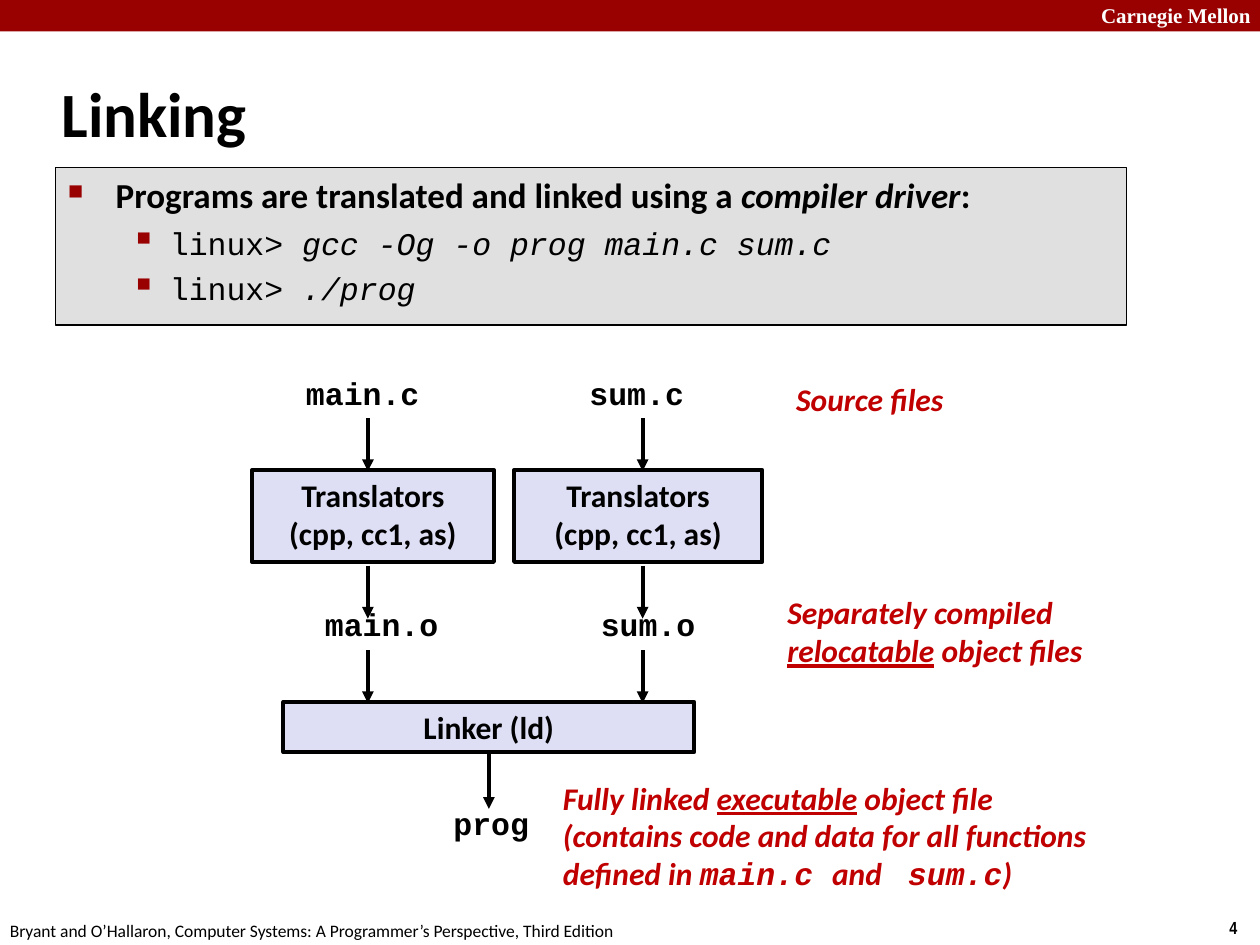
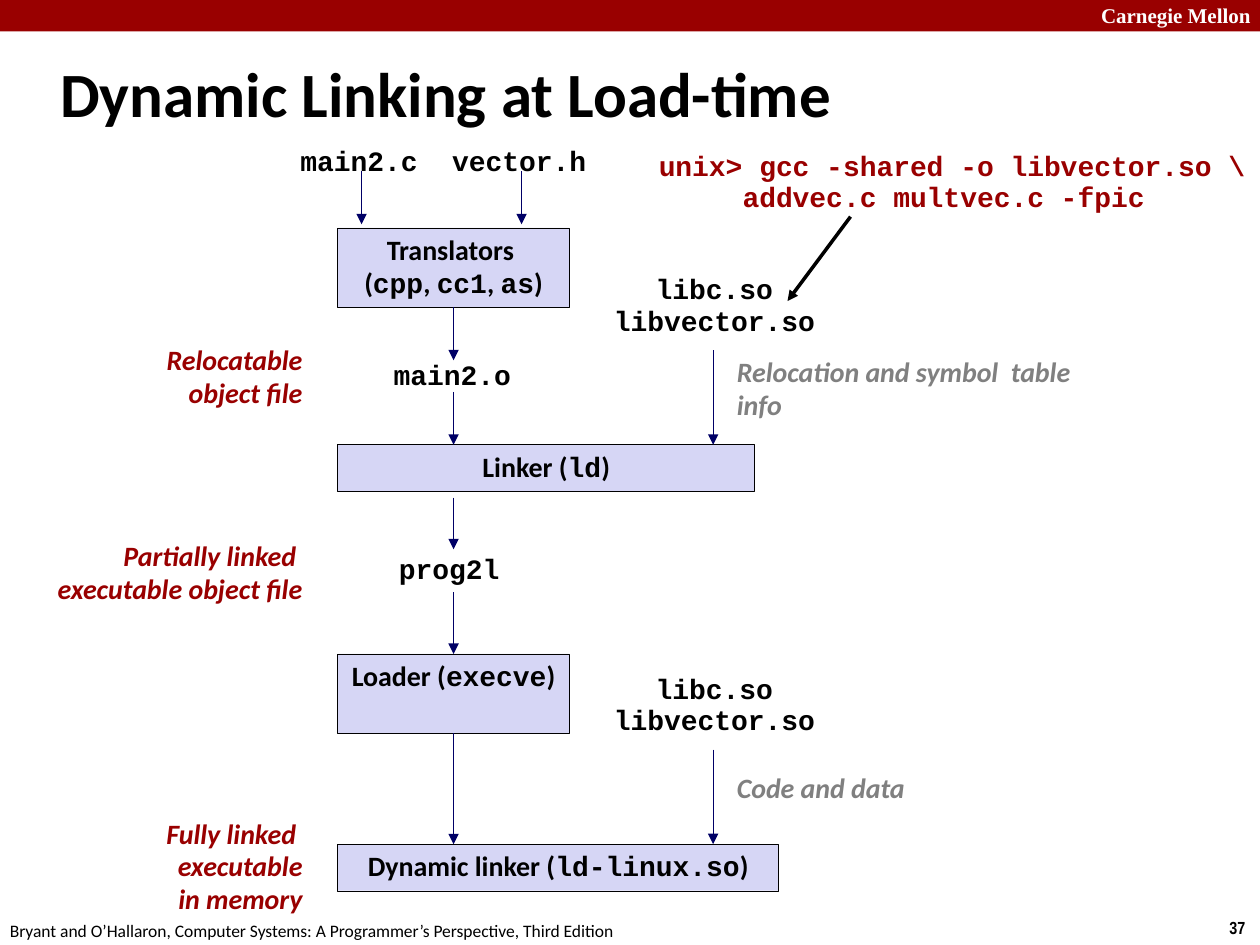
from dataclasses import dataclass

from lxml.etree import SubElement
from pptx import Presentation
from pptx.dml.color import RGBColor
from pptx.enum.shapes import MSO_CONNECTOR, MSO_SHAPE
from pptx.enum.text import MSO_ANCHOR, PP_ALIGN
from pptx.oxml.ns import qn
from pptx.slide import Slide
from pptx.util import Inches, Pt

BLACK = RGBColor(0x00, 0x00, 0x00)
WHITE = RGBColor(0xFF, 0xFF, 0xFF)
CRIMSON = RGBColor(0x99, 0x00, 0x00)
RED = RGBColor(0xC0, 0x00, 0x00)
GRAY = RGBColor(0x80, 0x80, 0x80)
PANEL_GRAY = RGBColor(0xE0, 0xE0, 0xE0)
LAVENDER = RGBColor(0xDE, 0xDF, 0xF5)
PERIWINKLE = RGBColor(0xD6, 0xD6, 0xF5)
NAVY = RGBColor(0x00, 0x00, 0x66)

SANS = "Calibri"
MONO = "Courier New"
FOOTER = "Bryant and O’Hallaron, Computer Systems: A Programmer’s Perspective, Third Edition"


def code(text):
    return text, {"name": MONO}


def italic(text):
    return text, {"italic": True}


def underlined(text):
    return text, {"underline": True}


def set_font(font, name=None, size=None, color=None, bold=None, italic=None, underline=None):
    if name:
        font.name = name
    if size:
        font.size = Pt(size)
    if color is not None:
        font.color.rgb = color
    if bold is not None:
        font.bold = bold
    if italic is not None:
        font.italic = italic
    if underline is not None:
        font.underline = underline


def add_runs(paragraph, line):
    for part in [line] if isinstance(line, str) else line:
        text, style = (part, {}) if isinstance(part, str) else part
        run = paragraph.add_run()
        run.text = text
        set_font(run.font, **style)


def set_indent(paragraph, margin, hanging):
    properties = paragraph._p.get_or_add_pPr()
    properties.set("marL", str(Inches(margin)))
    properties.set("indent", str(-Inches(hanging)))
    return properties


def add_bullet(paragraph, character, percent, margin, hanging):
    properties = set_indent(paragraph, margin, hanging)
    color = SubElement(properties, qn("a:buClr"))
    SubElement(color, qn("a:srgbClr"), val=str(CRIMSON))
    SubElement(properties, qn("a:buSzPct"), val=str(percent * 1000))
    SubElement(properties, qn("a:buChar"), char=character)


def write_lines(frame, lines, align=PP_ALIGN.LEFT, spacing=None, name=SANS, size=18,
                color=BLACK, bold=True, italic=None):
    for index, line in enumerate(lines):
        paragraph = frame.add_paragraph() if index else frame.paragraphs[0]
        paragraph.alignment = align
        if spacing:
            paragraph.line_spacing = spacing
        set_font(paragraph.font, name, size, color, bold, italic)
        add_runs(paragraph, line)


@dataclass
class Region:
    slide: Slide
    left: float = 0
    top: float = 0

    def place(self, x, y):
        return Inches(self.left + x), Inches(self.top + y)

    def label(self, x, y, width, height, lines, wrap=False, **style):
        shape = self.slide.shapes.add_textbox(*self.place(x, y), Inches(width), Inches(height))
        shape.text_frame.word_wrap = wrap
        write_lines(shape.text_frame, lines, **style)
        return shape

    def box(self, x, y, width, height, fill, line_width, lines=(), **style):
        shape = self.slide.shapes.add_shape(
            MSO_SHAPE.RECTANGLE, *self.place(x, y), Inches(width), Inches(height))
        shape.shadow.inherit = False
        shape.fill.solid()
        shape.fill.fore_color.rgb = fill
        if line_width:
            shape.line.color.rgb = BLACK
            shape.line.width = Pt(line_width)
        else:
            shape.line.fill.background()
        shape.text_frame.word_wrap = True
        shape.text_frame.vertical_anchor = MSO_ANCHOR.TOP
        write_lines(shape.text_frame, lines, align=PP_ALIGN.CENTER, **style)
        return shape

    def arrow(self, start, end, color, width, source=None, target=None):
        connector = self.slide.shapes.add_connector(
            MSO_CONNECTOR.STRAIGHT, *self.place(*start), *self.place(*end))
        if source is not None:
            connector.begin_connect(source, 2)
        if target is not None:
            connector.end_connect(target, 0)
        connector.line.color.rgb = color
        connector.line.width = Pt(width)
        SubElement(connector.line._get_or_add_ln(), qn("a:tailEnd"), type="triangle")
        SubElement(connector._element.spPr, qn("a:effectLst"))


def add_frame(presentation, number, title, left, top, width, height):
    slide = presentation.slides.add_slide(presentation.slide_layouts[6])
    page = Region(slide)
    page.box(0, 0, 10, 0.25, CRIMSON, 0)
    page.label(8.64, -0.03, 1.43, 0.3, ["Carnegie Mellon"], wrap=True,
               name="Times New Roman", size=12, color=WHITE)
    page.label(9.66, 7.23, 0.34, 0.27, [number], name="Arial Narrow", size=10)
    page.label(-0.02, 7.25, 5.08, 0.27, [FOOTER], size=10, bold=False)
    heading = page.label(left, top, width, height, [title], wrap=True, size=36)
    heading.text_frame.vertical_anchor = MSO_ANCHOR.MIDDLE
    set_indent(heading.text_frame.paragraphs[0], 0.13, 0.13)
    return slide


def add_command_panel(slide, left, top, width, height):
    panel = Region(slide, left, top).box(0, 0, width, height, PANEL_GRAY, 0.75)
    frame = panel.text_frame
    heading = frame.paragraphs[0]
    heading.alignment = PP_ALIGN.LEFT
    add_bullet(heading, "■", 60, 0.38, 0.38)
    set_font(heading.font, SANS, 20, BLACK, bold=True)
    add_runs(heading, ["Programs are translated and linked using a ",
                       italic("compiler driver"), ":"])
    for command in ("gcc -Og -o prog main.c sum.c", "./prog"):
        paragraph = frame.add_paragraph()
        paragraph.alignment = PP_ALIGN.LEFT
        paragraph.level = 1
        paragraph.space_before = Pt(4.5)
        add_bullet(paragraph, "▪", 110, 0.81, 0.31)
        set_font(paragraph.font, MONO, 18, BLACK, bold=False)
        add_runs(paragraph, ["linux> ", italic(command)])


def add_static_diagram(slide, left, top):
    diagram = Region(slide, left, top)
    columns = [
        ("main", 0.92, 1.11, 0.33, 0.48, 0, 1.92),
        ("sum", 3.1, 0.96, 2.58, 2.67, 2.08, 1.97),
    ]
    linker = diagram.box(0.25, 2.65, 3.26, 0.4, LAVENDER, 2.25, ["Linker (ld)"])
    for stem, arrow_x, label_width, source_x, object_x, box_x, box_width in columns:
        diagram.box(box_x, 0.81, box_width, 0.73, LAVENDER, 2.25,
                    ["Translators", "(cpp, cc1, as)"])
        diagram.label(source_x, 0, label_width, 0.4, [f"{stem}.c"], name=MONO)
        diagram.label(object_x, 1.83, label_width, 0.4, [f"{stem}.o"], name=MONO)
        for arrow_y in (0.4, 1.57, 2.24):
            diagram.arrow((arrow_x, arrow_y), (arrow_x, arrow_y + 0.42), BLACK, 2.25)
    diagram.label(1.5, 3.41, 0.81, 0.4, ["prog"], name=MONO)
    diagram.arrow((1.88, 3.05), (1.88, 3.5), BLACK, 2.25, source=linker)


def add_static_captions(slide, left, top):
    captions = Region(slide, left, top)
    style = {"color": RED, "italic": True}
    captions.label(1.85, 0, 1.44, 0.4, ["Source files"], **style)
    captions.label(1.78, 1.69, 2.63, 0.71,
                   ["Separately compiled", [underlined("relocatable"), " object files"]], **style)
    captions.label(0, 3.16, 4.46, 1.01, [
        ["Fully linked ", underlined("executable"), " object file"],
        "(contains code and data for all functions",
        ["defined in ", code("main.c "), "and ", code(" sum.c"), ")"],
    ], **style)


def add_load_pipeline(slide, left, top):
    pipeline = Region(slide, left, top)
    file_style = {"align": PP_ALIGN.CENTER, "spacing": 0.94, "name": MONO, "size": 16}
    spine = 1.32

    def stage(y, width, height, *lines):
        return pipeline.box(0.4, y, width, height, PERIWINKLE, 0.25, lines,
                            spacing=0.98, size=16)

    def flow(x, start, end, **joints):
        pipeline.arrow((x, start), (x, end), NAVY, 0.25, **joints)

    translators = stage(0.7, 1.84, 0.63, "Translators ",
                        ["(", code("cpp"), ", ", code("cc1"), ", ", code("as"), ")"])
    stage(2.42, 3.31, 0.37, ["Linker (", code("ld"), ")"])
    loader = stage(4.08, 1.84, 0.63, ["Loader (", code("execve"), ")"])
    stage(5.59, 3.5, 0.37, ["Dynamic linker (", code("ld-linux.so"), ")"])

    for x, y, width, name in [(0, 0, 1.14, "main2.c"), (1.2, 0, 1.28, "vector.h"),
                              (0.74, 1.7, 1.14, "main2.o"), (0.78, 3.24, 1.01, "prog2l")]:
        pipeline.label(x, y, width, 0.36, [name], **file_style)

    for x in (0.59, 1.86):
        flow(x, 0.25, 0.67)
    flow(spine, 1.33, 1.75, source=translators)
    flow(spine, 2.0, 2.42)
    flow(spine, 2.84, 3.25)
    flow(spine, 3.59, 4.08, target=loader)
    flow(spine, 4.71, 5.59, source=loader)


def add_shared_libraries(slide, left, top, note, note_y, note_width, note_height):
    libraries = Region(slide, left, top)
    libraries.label(0, 0, 1.82, 0.61, ["libc.so", "libvector.so"],
                    align=PP_ALIGN.CENTER, spacing=0.94, name=MONO, size=16)
    libraries.arrow((0.9, 0.65), (0.9, 1.4), NAVY, 0.25)
    libraries.label(0.99, note_y, note_width, note_height, [note], wrap=True,
                    spacing=0.98, size=16, color=GRAY, italic=True)


def add_stage_captions(slide, right, top):
    captions = Region(slide, right, top)
    for y, width, height, lines in [
        (0, 1.5, 0.63, ["Relocatable", "object file"]),
        (1.56, 2.75, 0.63, ["Partially linked ", "executable object file"]),
        (3.76, 1.92, 0.89, ["Fully linked ", "executable", "in memory"]),
    ]:
        captions.label(-width, y, width, height, lines, wrap=True, align=PP_ALIGN.RIGHT,
                       spacing=0.98, size=16, color=CRIMSON, italic=True)


def add_library_command(slide, left, top):
    command = Region(slide, left, top)
    command.label(0, 0, 4.92, 0.61,
                  ["unix> gcc -shared -o libvector.so \\", "     addvec.c multvec.c -fpic"],
                  spacing=0.94, name=MONO, size=16, color=CRIMSON)
    command.arrow((1.62, 0.57), (1.12, 1.24), BLACK, 2)


def add_linking_slide(presentation):
    slide = add_frame(presentation, "4", "Linking", 0.39, 0.48, 8.3, 0.83)
    add_command_panel(slide, 0.44, 1.33, 8.5, 1.25)
    add_static_diagram(slide, 2, 2.92)
    add_static_captions(slide, 4.37, 2.97)


def add_dynamic_linking_slide(presentation):
    slide = add_frame(presentation, "37", "Dynamic Linking at Load-time", 0.38, 0.31, 9.53, 0.85)
    add_load_pipeline(slide, 2.28, 1.11)
    add_shared_libraries(slide, 4.76, 2.13, "Relocation and symbol  table info", 0.65, 2.85, 0.63)
    add_shared_libraries(slide, 4.76, 5.3, "Code and data", 0.78, 1.94, 0.37)
    add_stage_captions(slide, 2.5, 2.68)
    add_library_command(slide, 5.13, 1.15)


def main():
    presentation = Presentation()
    presentation.slide_width = Inches(10)
    presentation.slide_height = Inches(7.5)
    add_linking_slide(presentation)
    add_dynamic_linking_slide(presentation)
    presentation.save("out.pptx")


if __name__ == "__main__":
    main()
